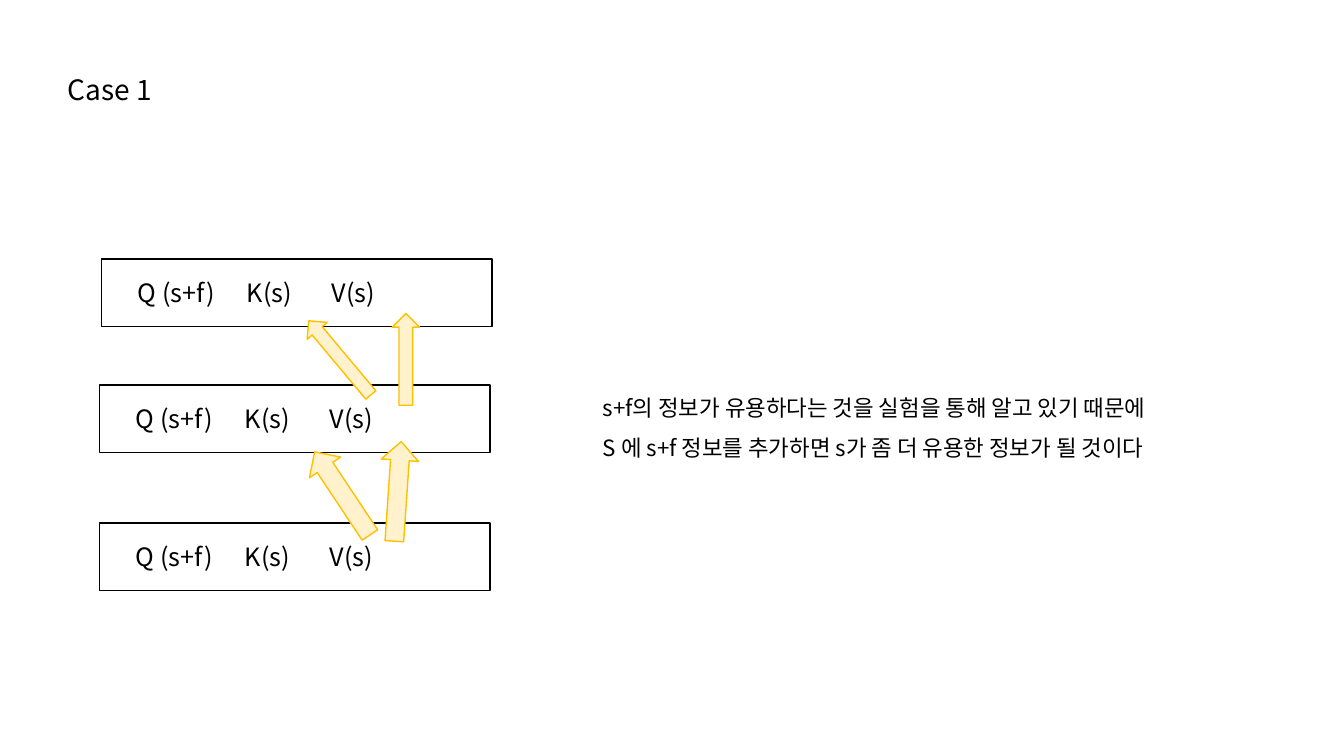
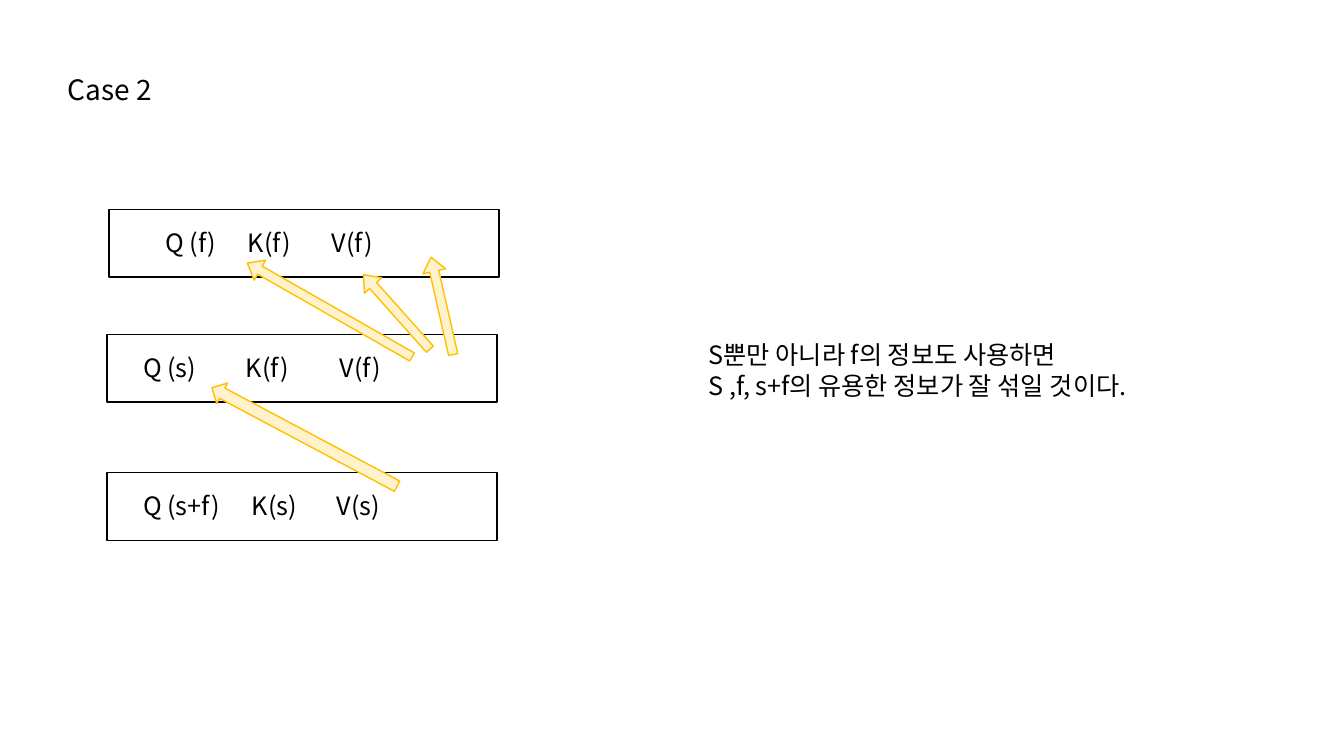
"""Build two slides that compare attention cases."""
import dataclasses

import lxml.etree
import pptx
import pptx.dml.color
import pptx.enum.shapes
import pptx.enum.text
import pptx.oxml.ns
import pptx.presentation
import pptx.shapes.autoshape
import pptx.slide
import pptx.text.text
import pptx.util

Inches = pptx.util.Inches
FONT = "Noto Sans CJK KR"
BLACK, CREAM, GOLD = "000000", "FFF2CC", "FFC000"
TITLE_ONLY = 5


@dataclasses.dataclass(frozen=True)
class Row:
    """A framed row of labels; tabs are measured from the text start."""
    x: float
    y: float
    labels: tuple[str, ...]
    tabs: tuple[float, ...] = (1.08, 1.92)
    indent: float = 0.26


@dataclasses.dataclass(frozen=True)
class Arrow:
    """A block arrow, placed before it is turned."""
    x: float
    y: float
    width: float
    height: float
    angle: float
    shaft: float = 0.5
    head: float = 0.5


@dataclasses.dataclass(frozen=True)
class Note:
    """A remark beside the rows."""
    x: float
    y: float
    width: float
    height: float
    lines: tuple[str, ...]
    size: int
    spacing: float = 1.0


@dataclasses.dataclass(frozen=True)
class Case:
    """All that one slide shows."""
    title: str
    rows: tuple[Row, ...]
    arrows: tuple[Arrow, ...]
    note: Note


def color(code: str) -> pptx.dml.color.RGBColor:
    """Turn a hex string into a colour."""
    return pptx.dml.color.RGBColor.from_string(code)


def style(frame: pptx.text.text.TextFrame, size: int, spacing: float = 1.0) -> None:
    """Format all text in a frame."""
    frame.word_wrap = True
    frame.auto_size = pptx.enum.text.MSO_AUTO_SIZE.SHAPE_TO_FIT_TEXT
    frame.vertical_anchor = pptx.enum.text.MSO_ANCHOR.TOP
    for para in frame.paragraphs:
        para.alignment = pptx.enum.text.PP_ALIGN.LEFT
        para.line_spacing = spacing
        for run in para.runs:
            run.font.size = pptx.util.Pt(size)
            run.font.name = FONT
            run.font.color.rgb = color(BLACK)
            props = run._r.get_or_add_rPr()
            lxml.etree.SubElement(props, pptx.oxml.ns.qn("a:ea"), typeface=FONT)


def set_tabs(para: pptx.text.text._Paragraph, stops: tuple[float, ...]) -> None:
    """Add left tab stops to a paragraph."""
    props = para._p.get_or_add_pPr()
    tabs = lxml.etree.SubElement(props, pptx.oxml.ns.qn("a:tabLst"))
    for stop in stops:
        lxml.etree.SubElement(tabs, pptx.oxml.ns.qn("a:tab"),
                              pos=str(int(Inches(stop))), algn="l")


def outline(shape: pptx.shapes.autoshape.Shape, code: str) -> None:
    """Give a shape a thin line and no shadow."""
    shape.shadow.inherit = False
    shape.line.color.rgb = color(code)
    shape.line.width = pptx.util.Pt(1)


def draw_title(slide: pptx.slide.Slide, text: str) -> None:
    """Place and format the title."""
    title = slide.shapes.title
    title.left, title.top = Inches(0.57), Inches(0.67)
    title.width, title.height = Inches(4.79), Inches(0.44)
    title.text_frame.text = text
    style(title.text_frame, 20)


def draw_row(slide: pptx.slide.Slide, row: Row) -> None:
    """Draw a frame and its tabbed labels."""
    frame = slide.shapes.add_shape(
        pptx.enum.shapes.MSO_SHAPE.RECTANGLE,
        Inches(row.x), Inches(row.y), Inches(3.87), Inches(0.67))
    frame.fill.background()
    outline(frame, BLACK)
    box = slide.shapes.add_textbox(
        Inches(row.x + row.indent), Inches(row.y + 0.13), Inches(3.61), Inches(0.4))
    box.text_frame.text = "\t".join(row.labels)
    style(box.text_frame, 18)
    set_tabs(box.text_frame.paragraphs[0], row.tabs)


def draw_arrow(slide: pptx.slide.Slide, arrow: Arrow) -> None:
    """Draw a turned block arrow."""
    shape = slide.shapes.add_shape(
        pptx.enum.shapes.MSO_SHAPE.RIGHT_ARROW,
        Inches(arrow.x), Inches(arrow.y), Inches(arrow.width), Inches(arrow.height))
    shape.rotation = arrow.angle
    shape.adjustments[0] = arrow.shaft
    shape.adjustments[1] = arrow.head
    shape.fill.solid()
    shape.fill.fore_color.rgb = color(CREAM)
    outline(shape, GOLD)


def draw_note(slide: pptx.slide.Slide, note: Note) -> None:
    """Write the remark."""
    box = slide.shapes.add_textbox(
        Inches(note.x), Inches(note.y), Inches(note.width), Inches(note.height))
    box.text_frame.text = "\n".join(note.lines)
    style(box.text_frame, note.size, note.spacing)


def draw_case(deck: pptx.presentation.Presentation, case: Case) -> None:
    """Add one slide."""
    slide = deck.slides.add_slide(deck.slide_layouts[TITLE_ONLY])
    draw_title(slide, case.title)
    for row in case.rows:
        draw_row(slide, row)
    for arrow in case.arrows:
        draw_arrow(slide, arrow)
    draw_note(slide, case.note)


MIXED = ("Q (s+f)", "K(s)", "V(s)")
CASES = (
    Case(
        "Case 1",
        (Row(0.99, 5.19, MIXED), Row(0.99, 3.82, MIXED), Row(1.01, 2.57, MIXED)),
        (Arrow(3.45, 4.69, 0.99, 0.37, 273.9),
         Arrow(3.57, 3.43, 0.91, 0.27, 270),
         Arrow(2.9, 4.71, 0.99, 0.37, 236.4),
         Arrow(2.89, 3.42, 0.96, 0.26, 230.1)),
        Note(5.88, 3.73, 7.45, 0.86,
             ("s+f의 정보가 유용하다는 것을 실험을 통해 알고 있기 때문에",
              "S 에 s+f 정보를 추가하면 s가 좀 더 유용한 정보가 될 것이다"),
             16, 1.5)),
    Case(
        "Case 2",
        (Row(1.06, 4.69, MIXED),
         Row(1.06, 3.32, ("Q (s)", "K(f)", "V(f)"), (1.02, 1.95)),
         Row(1.08, 2.08, ("Q (f)", "K(f)", "V(f)"), (0.82, 1.65), 0.46)),
        (Arrow(1.98, 4.22, 2.08, 0.23, 208),
         Arrow(3.89, 2.92, 0.99, 0.23, 257.2, 0.4, 0.62),
         Arrow(3.44, 2.98, 0.99, 0.23, 228.3, 0.4, 0.62),
         Arrow(2.33, 2.96, 1.88, 0.23, 209.7, 0.4, 0.62)),
        Note(6.93, 3.32, 6.4, 0.71,
             ("S뿐만 아니라 f의 정보도 사용하면",
              "S ,f, s+f의 유용한 정보가 잘 섞일 것이다."),
             18)),
)


def main() -> None:
    """Build and save the deck."""
    deck = pptx.Presentation()
    deck.slide_width, deck.slide_height = Inches(13.33), Inches(7.5)
    for case in CASES:
        draw_case(deck, case)
    deck.save("out.pptx")


main()
